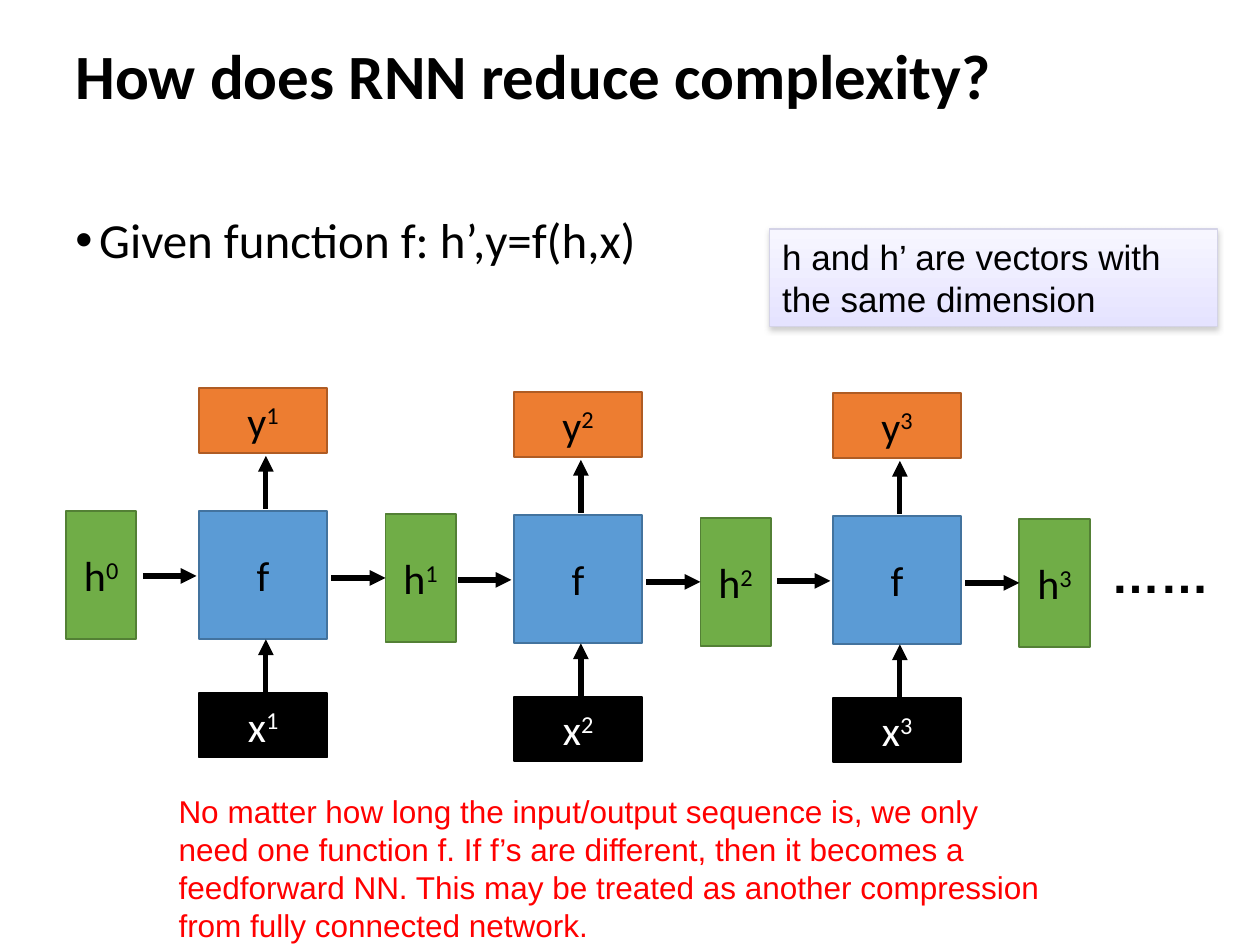
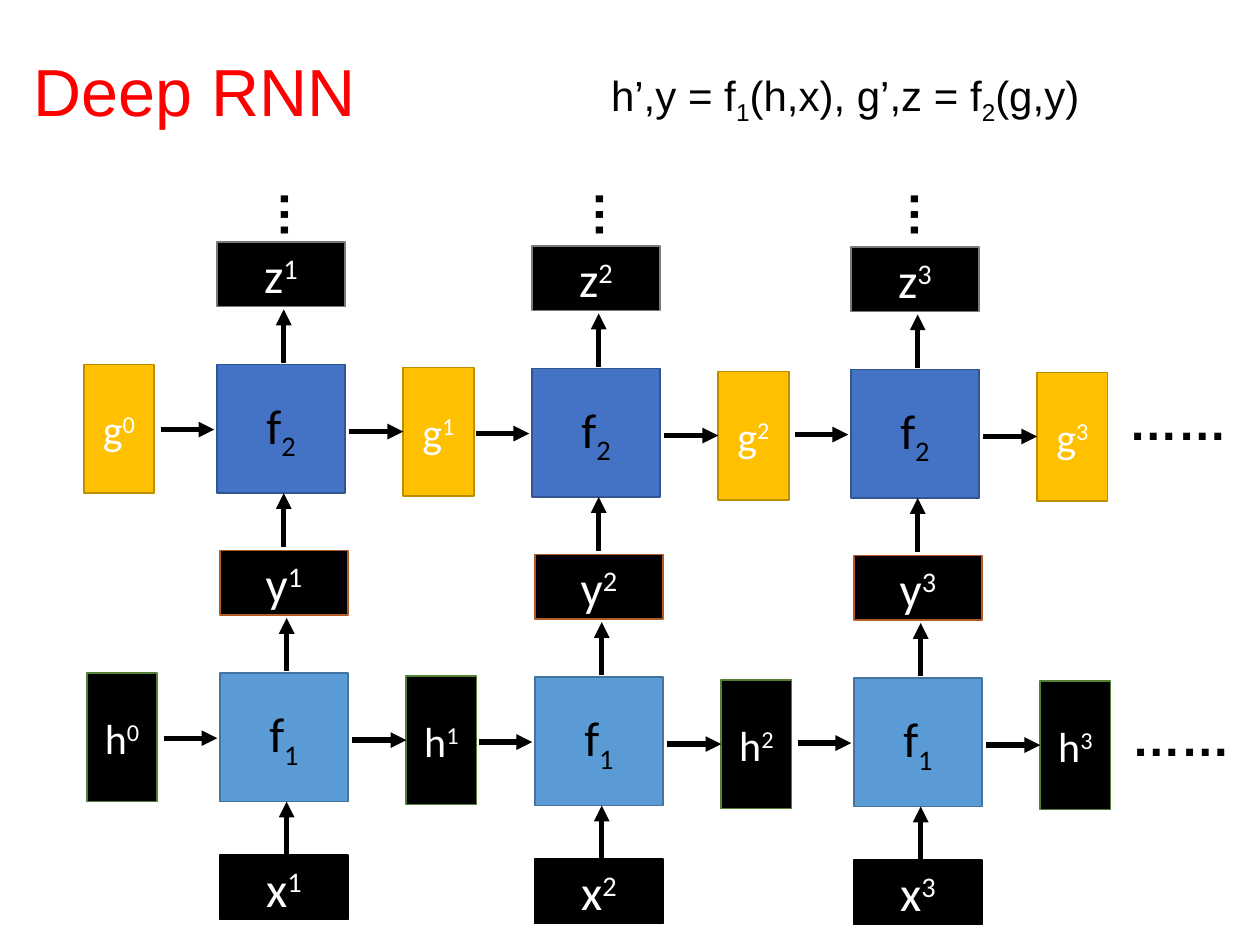
from lxml import etree
from pptx import Presentation
from pptx.dml.color import RGBColor
from pptx.enum.shapes import MSO_CONNECTOR, MSO_SHAPE
from pptx.enum.text import MSO_ANCHOR, MSO_AUTO_SIZE, PP_ALIGN
from pptx.oxml.ns import qn
from pptx.util import Cm, Pt

RECT = MSO_SHAPE.RECTANGLE
LINE = MSO_CONNECTOR.STRAIGHT
MIDDLE, TOP = MSO_ANCHOR.MIDDLE, MSO_ANCHOR.TOP
LEFT, CENTRE = PP_ALIGN.LEFT, PP_ALIGN.CENTER
FIXED, GROW = MSO_AUTO_SIZE.NONE, MSO_AUTO_SIZE.SHAPE_TO_FIT_TEXT

INK = {
    "black": "000000", "white": "FFFFFF", "red": "FF0000",
    "blue": "5B9BD5", "blue rim": "43739E",
    "navy": "4472C4", "navy rim": "325491",
    "green": "70AD47", "green rim": "538035",
    "orange": "ED7D31", "orange rim": "AF5C24",
    "gold": "FFC000", "gold rim": "BD8E00", "grey rim": "7A7A7A",
    "pale": "F7F6FF", "lilac": "E5E3FF", "lilac rim": "D4D3E7",
    "shade": "808080",
}
BODY, NOTE = "Calibri", "Arial"
SUP, SUB = 30, -25
STEPS = [(0, 0), (6.35, 0.08), (12.78, 0.1)]
SIDE, SLIM, LOW = 2.59, 1.42, 1.3
DOTS = "……"


def ink(name):
    """Return the named colour."""
    return RGBColor.from_string(INK[name])


def write(shape, parts, size, face=BODY, tint="black", bold=False,
          align=LEFT, anchor=TOP, fit=FIXED, wrap=True):
    """Fill a shape with one paragraph of (text, baseline) parts."""
    frame = shape.text_frame
    frame.word_wrap, frame.auto_size = wrap, fit
    frame.vertical_anchor = anchor
    para = frame.paragraphs[0]
    para.alignment = align
    for text, base in parts:
        run = para.add_run()
        run.text = text
        font = run.font
        font.size, font.name, font.bold = Pt(size), face, bold
        font.color.rgb = ink(tint)
        if base:
            font._element.set("baseline", str(base * 1000))
    return para


def label(slide, box, parts, size, **style):
    """Add a text box."""
    shape = slide.shapes.add_textbox(*map(Cm, box))
    write(shape, parts, size, **style)
    return shape


def panel(slide, box, rim, width):
    """Add an outlined rectangle without a shadow."""
    shape = slide.shapes.add_shape(RECT, *map(Cm, box))
    shape.shadow.inherit = False
    shape.line.color.rgb = ink(rim)
    shape.line.width = Pt(width)
    return shape


def cell(slide, box, look, parts):
    """Add a filled cell with a centred symbol."""
    fill, rim, tint, size = look
    shape = panel(slide, box, rim, 1)
    shape.fill.solid()
    shape.fill.fore_color.rgb = ink(fill)
    write(shape, parts, size, tint=tint, align=CENTRE, anchor=MIDDLE)


def arrow(slide, *ends):
    """Add a thick black arrow."""
    line = slide.shapes.add_connector(LINE, *map(Cm, ends))
    line.line.color.rgb = ink("black")
    line.line.width = Pt(3)
    props = line._element.spPr
    etree.SubElement(props.find(qn("a:ln")), qn("a:tailEnd"), type="triangle")
    etree.SubElement(props, qn("a:effectLst"))


def chain(slide, left, top, state, core, out, feed=None, drop=0.56):
    """Draw one recurrent row; each part is (symbol, look)."""
    def mark(part, num):
        return part[1], [(part[0], 0), (str(num), SUP)]

    left, top = left + 2.68, top + 2.47
    cell(slide, (left - 2.68, top, SLIM, SIDE), *mark(state, 0))
    for num, (across, down) in enumerate(STEPS, 1):
        x, y = left + across, top + down
        cell(slide, (x, y, SIDE, SIDE), core[1], core[0])
        cell(slide, (x + 3.76, y + 0.06, SLIM, SIDE), *mark(state, num))
        cell(slide, (x, y - 2.47, SIDE, LOW), *mark(out, num))
        if feed:
            cell(slide, (x, y + 3.67, SIDE, LOW), *mark(feed, num))
        arrow(slide, x - 1.13, y + 1.31, x - 0.05, y + 1.31)
        arrow(slide, x + 2.67, y + 1.35, x + 3.76, y + 1.35)
        arrow(slide, x + 1.35, y - 0.04, x + 1.35, y - 1.11)
        arrow(slide, x + 1.35, y + 3.67, x + 1.35, y + SIDE)
    label(slide, (left + 18.14, top + drop, 2.59, 1.45), [(DOTS, 0)], 28,
          face=NOTE, bold=True, fit=GROW)


def start(deck, text, box, size, **style):
    """Add a title-only slide and place its title."""
    slide = deck.slides.add_slide(deck.slide_layouts[5])
    title = slide.shapes.title
    title.left, title.top, title.width, title.height = map(Cm, box)
    write(title, [(text, 0)], size, anchor=MIDDLE, **style).line_spacing = 0.9
    return slide


def point(slide, box, text):
    """Add a bulleted line."""
    shape = slide.shapes.add_textbox(*map(Cm, box))
    para = shape.text_frame.paragraphs[0]
    props = para._p.get_or_add_pPr()
    props.set("marL", str(Cm(0.48)))
    props.set("indent", str(Cm(-0.48)))
    etree.SubElement(props, qn("a:buFont"), typeface=NOTE)
    etree.SubElement(props, qn("a:buChar"), char="•")
    write(shape, [(text, 0)], 28).line_spacing = 0.9


def callout(slide, box, text):
    """Add a shaded note with a soft shadow."""
    shape = panel(slide, box, "lilac rim", 0.75)
    shape.fill.gradient()
    shape.fill.gradient_angle = 270
    for stop, name, spot in zip(shape.fill.gradient_stops,
                                ("pale", "lilac"), (0, 1)):
        stop.color.rgb, stop.position = ink(name), spot
    glow = etree.SubElement(
        shape._element.spPr.find(qn("a:effectLst")), qn("a:outerShdw"),
        blurRad=str(Pt(3.1)), dist=str(Pt(1.6)), dir="5400000", rotWithShape="0")
    tone = etree.SubElement(glow, qn("a:srgbClr"), val=INK["shade"])
    etree.SubElement(tone, qn("a:alpha"), val="38000")
    write(shape, [(text, 0)], 20, face=NOTE, fit=GROW)


def simple(deck):
    """Build the slide on one shared function."""
    slide = start(deck, "How does RNN reduce complexity?",
                  (1.27, 0, 22.86, 3.18), 36, bold=True)
    point(slide, (1.27, 4.24, 23.29, 13.77), "Given function f: h’,y=f(h,x)")
    chain(slide, 1.33, 7.83,
          ("h", ("green", "green rim", "black", 24)),
          ([("f", 0)], ("blue", "blue rim", "black", 24)),
          ("y", ("orange", "orange rim", "black", 24)),
          ("x", ("black", "black", "white", 24)))
    label(slide, (3.35, 15.85, 18.19, 3.33), [(
        "No matter how long the input/output sequence is, we only need one "
        "function f. If f’s are different, then it becomes a feedforward NN. "
        "This may be treated as another compression from fully connected "
        "network.", 0)], 18, face=NOTE, tint="red", fit=GROW)
    callout(slide, (15.52, 4.62, 9.02, 1.96),
            "h and h’ are vectors with the same dimension")


def deep(deck):
    """Build the slide on stacked rows."""
    slide = start(deck, "Deep RNN", (0.43, 0.43, 8.26, 2.97), 38,
                  face=NOTE, tint="red")
    chain(slide, 1.75, 11.1,
          ("h", ("black", "green rim", "white", 24)),
          ([("f", 0), ("1", SUB)], ("blue", "blue rim", "black", 28)),
          ("y", ("black", "orange rim", "white", 28)),
          ("x", ("black", "black", "white", 28)))
    chain(slide, 1.69, 4.88,
          ("g", ("gold", "gold rim", "white", 24)),
          ([("f", 0), ("2", SUB)], ("navy", "navy rim", "black", 28)),
          ("z", ("black", "grey rim", "white", 28)), drop=0.41)
    for num in range(len(STEPS)):
        dots = label(slide, (5.44 + 6.35 * num, 3.48, 1.22, 1.45),
                     [("…", 0)], 28, face=NOTE, bold=True, fit=GROW)
        dots.rotation = 90
    label(slide, (12.07, 1.27, 10.13, 1.3),
          [("h’,y = f", 0), ("1", SUB), ("(h,x), g’,z = f", 0), ("2", SUB),
           ("(g,y)", 0)], 24, face=NOTE, fit=GROW, wrap=False)


def main():
    """Build and save the deck."""
    deck = Presentation()
    deck.slide_width, deck.slide_height = Cm(25.4), Cm(19.05)
    simple(deck)
    deep(deck)
    deck.save("out.pptx")


if __name__ == "__main__":
    main()
